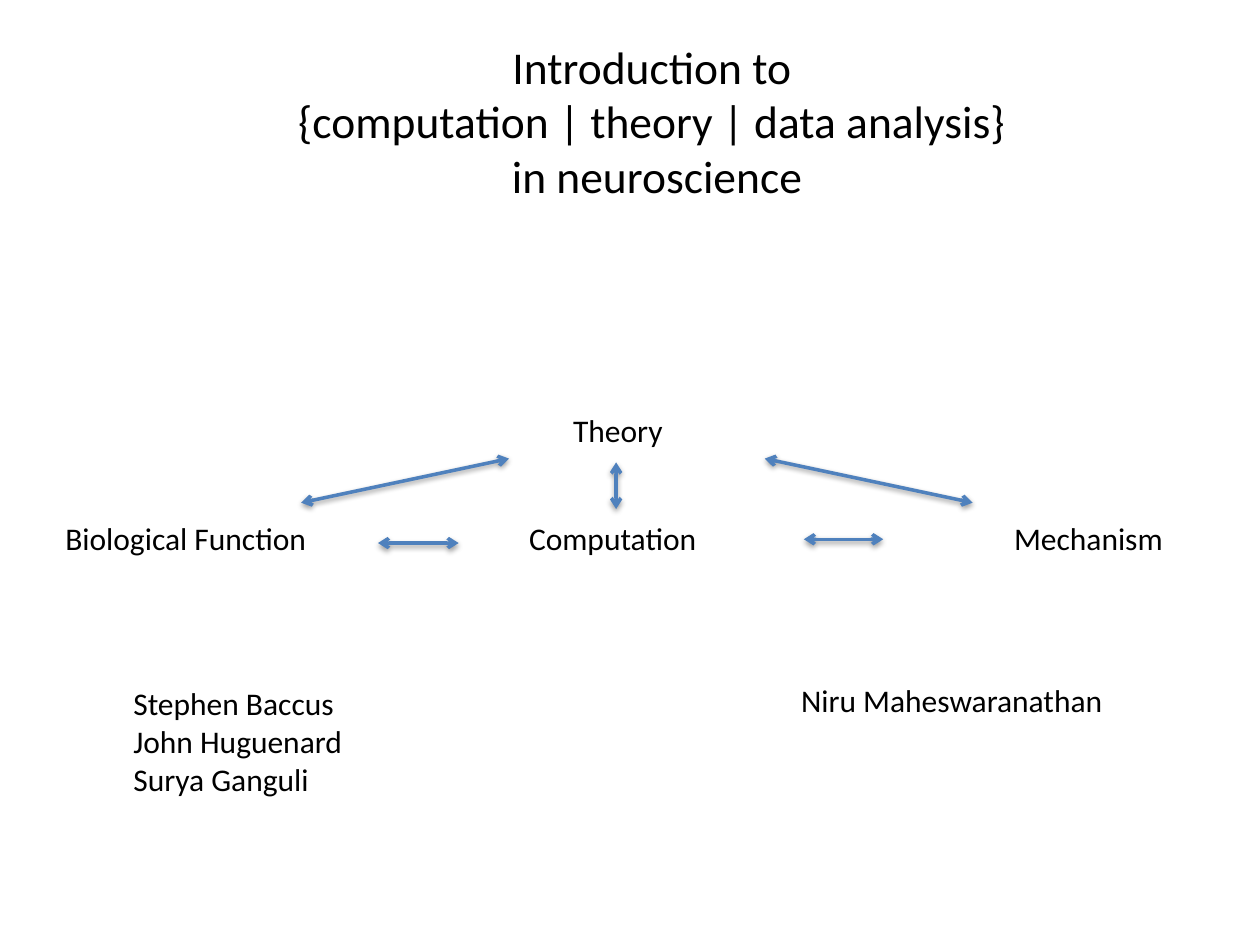
from lxml import etree
from pptx import Presentation
from pptx.dml.color import RGBColor
from pptx.enum.shapes import MSO_CONNECTOR as Conn
from pptx.enum.text import MSO_ANCHOR, MSO_AUTO_SIZE as AutoSize, PP_ALIGN as Align
from pptx.oxml import parse_xml
from pptx.oxml.ns import qn
from pptx.util import Inches, Pt

BLACK = RGBColor(0x00, 0x00, 0x00)
BLUE = RGBColor(0x4F, 0x81, 0xBD)
FONT = "Calibri"
SHADOW = (
    '<a:effectLst xmlns:a="http://schemas.openxmlformats.org/drawingml/2006/main">'
    '<a:outerShdw blurRad="40000" dist="20000" dir="5400000" rotWithShape="0">'
    '<a:srgbClr val="000000"><a:alpha val="38000"/></a:srgbClr>'
    '</a:outerShdw></a:effectLst>'
)


def add_text(slide, box, lines, size=18, align=Align.LEFT, wrap=True, grow=True):
    tf = slide.shapes.add_textbox(*map(Inches, box)).text_frame
    tf.word_wrap = wrap
    tf.auto_size = AutoSize.SHAPE_TO_FIT_TEXT if grow else AutoSize.NONE
    tf.vertical_anchor = MSO_ANCHOR.TOP
    for i, line in enumerate(lines):
        p = tf.paragraphs[0] if i == 0 else tf.add_paragraph()
        p.alignment = align
        r = p.add_run()
        r.text = line
        r.font.name = FONT
        r.font.size = Pt(size)
        r.font.color.rgb = BLACK


def add_double_arrow(slide, x1, y1, x2, y2):
    c = slide.shapes.add_connector(Conn.STRAIGHT, *map(Inches, (x1, y1, x2, y2)))
    c.line.color.rgb = BLUE
    c.line.width = Pt(2)
    sp_pr = c._element.spPr
    ln = sp_pr.find(qn("a:ln"))
    for end in ("a:headEnd", "a:tailEnd"):
        etree.SubElement(ln, qn(end), type="arrow")
    sp_pr.append(parse_xml(SHADOW))


def add_title(slide, box):
    lines = ["Introduction to ", "{computation | theory | data analysis} ",
             "in neuroscience"]
    add_text(slide, box, lines, size=26, align=Align.CENTER, grow=False)


def add_concept_map(slide, left, top):
    # Concepts: offset from the corner of the map, and width
    concepts = [
        ("Theory", 4.03, 0, 1.89),
        ("Biological Function", 0, 0.86, 4.14),
        ("Computation", 3.68, 0.86, 2.62),
        ("Mechanism", 7.53, 0.86, 1.67),
    ]
    for name, dx, dy, width in concepts:
        add_text(slide, (left + dx, top + dy, width, 0.4), [name])

    # Links between neighbouring concepts
    links = [
        (2.58, 1.1, 3.22, 1.1),
        (5.96, 1.07, 6.59, 1.07),
        (1.97, 0.78, 3.62, 0.43),
        (7.3, 0.78, 5.65, 0.43),
        (4.47, 0.46, 4.47, 0.83),
    ]
    for x1, y1, x2, y2 in links:
        add_double_arrow(slide, left + x1, top + y1, left + x2, top + y2)


def add_people(slide, box, names):
    add_text(slide, box, names, wrap=False)


def main():
    prs = Presentation()
    prs.slide_width, prs.slide_height = Inches(10), Inches(7.5)
    s = prs.slides.add_slide(prs.slide_layouts[6])
    add_concept_map(s, 0.42, 3.21)
    add_title(s, (1.49, 0.26, 7.45, 1.25))
    add_people(s, (0.96, 5.38, 2.21, 1.31),
               ["Stephen Baccus", "John Huguenard", "Surya Ganguli"])
    add_people(s, (6.26, 5.36, 3, 0.4), ["Niru Maheswaranathan"])
    prs.save("out.pptx")


if __name__ == "__main__":
    main()
